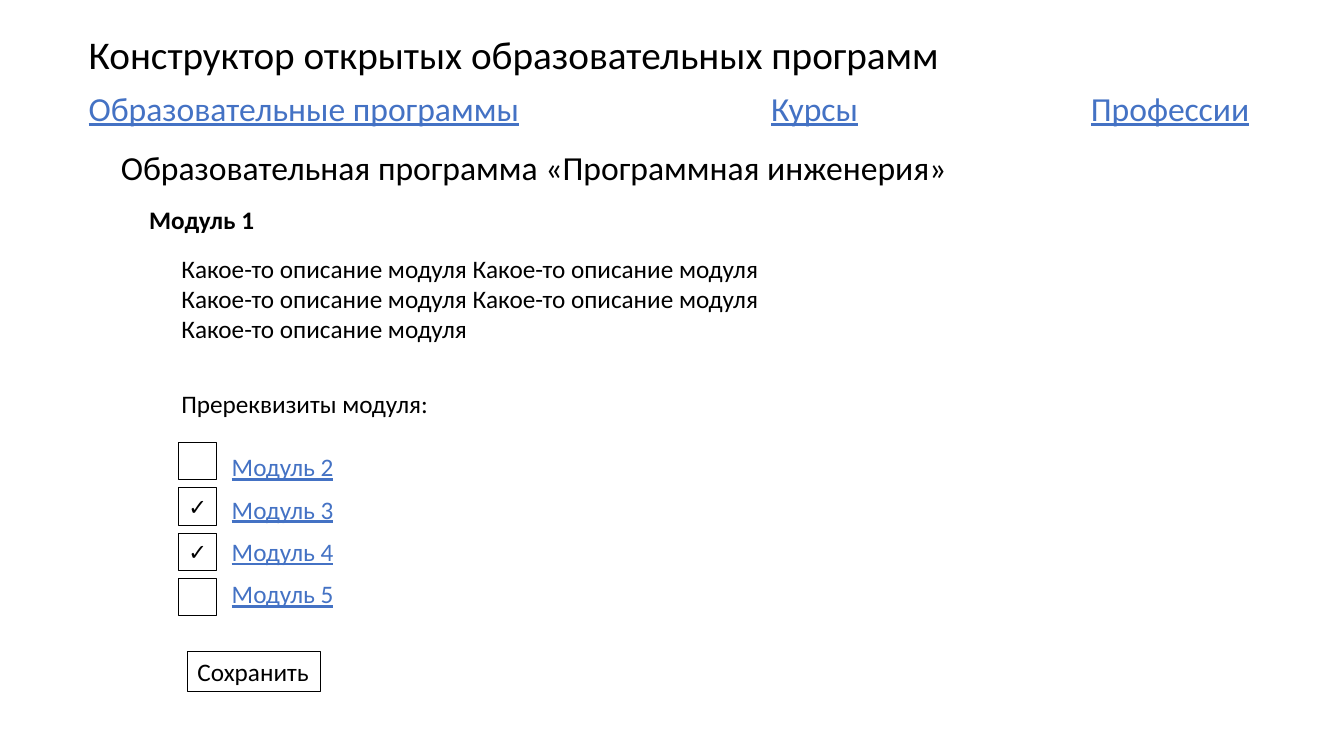
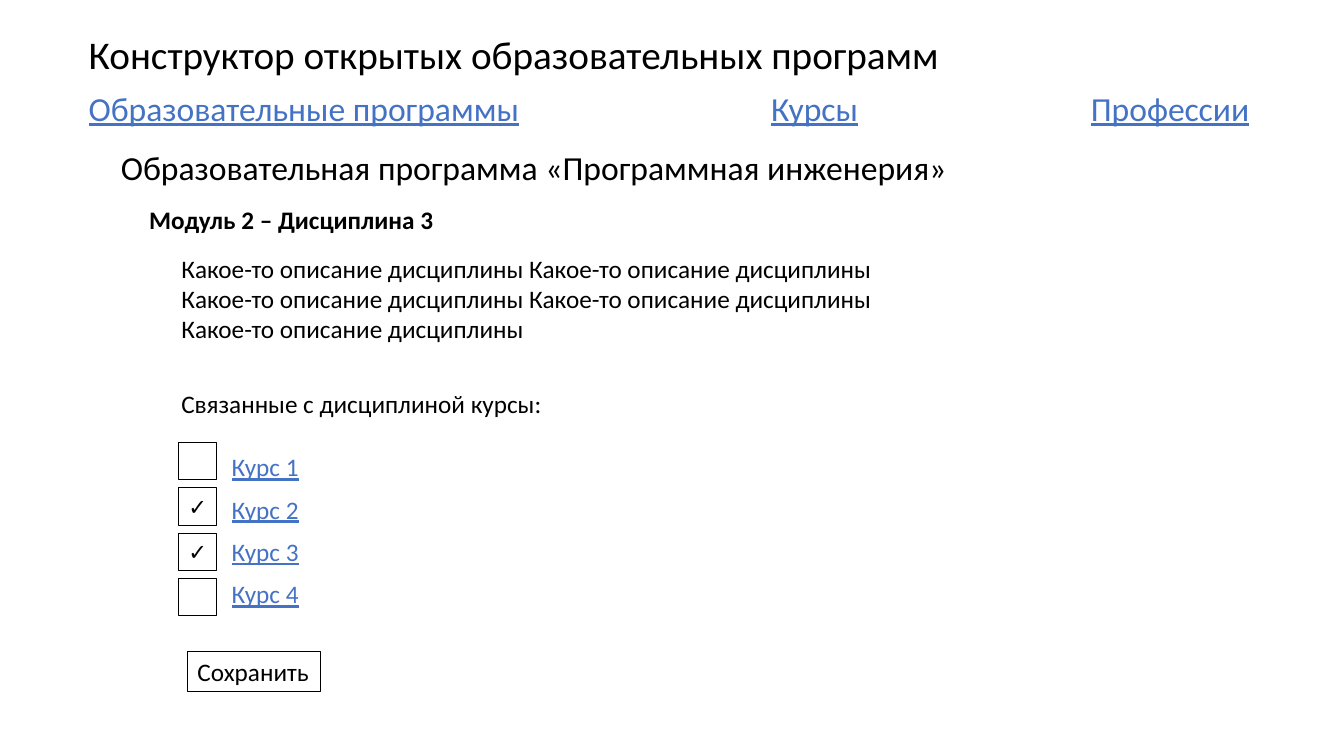
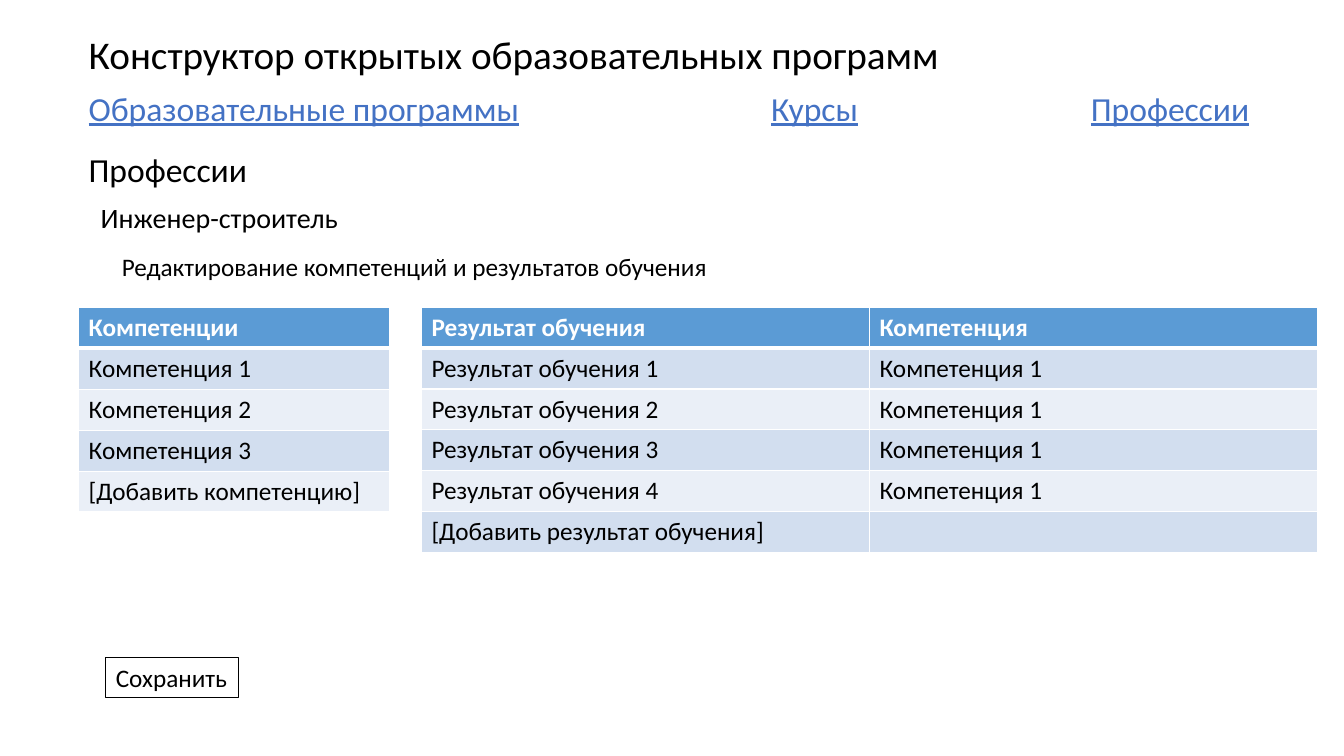
from dataclasses import dataclass
from typing import Optional

from lxml.etree import SubElement
from pptx import Presentation
from pptx.dml.color import RGBColor
from pptx.enum.shapes import MSO_SHAPE as Preset
from pptx.enum.text import MSO_ANCHOR as Anchor, MSO_AUTO_SIZE as AutoSize, PP_ALIGN as Align
from pptx.oxml.ns import qn
from pptx.shapes.autoshape import Shape
from pptx.slide import Slide
from pptx.table import _Cell as Cell
from pptx.text.text import TextFrame
from pptx.util import Inches, Pt


# Theme: colours, type sizes and line heights
@dataclass(frozen=True)
class TextStyle:
    size: int
    height: float
    color: str = "000000"
    bold: bool = False
    underline: bool = False


@dataclass(frozen=True)
class Theme:
    font: str = "Calibri"
    ink: str = "000000"
    white: str = "FFFFFF"
    link: str = "4472C4"
    header_fill: str = "5B9BD5"
    bands: tuple[str, str] = ("D2DEEF", "EAEFF7")
    outline: float = 0.75
    cell_line: float = 1
    header_line: float = 3

    title = TextStyle(28, 0.57)
    heading = TextStyle(24, 0.5)
    subheading = TextStyle(20, 0.44)
    body = TextStyle(18, 0.4)
    strong = TextStyle(18, 0.4, bold=True)
    nav_link = TextStyle(24, 0.5, link, underline=True)
    item_link = TextStyle(18, 0.4, link, underline=True)
    check = TextStyle(16, 0.37)
    table_header = TextStyle(18, 0.4, white, bold=True)


THEME = Theme()
TITLE_ONLY, TITLE_AND_BODY = 5, 1


# Repeated elements
@dataclass(frozen=True)
class Label:
    text: str
    left: float
    top: float
    width: float
    style: TextStyle


@dataclass(frozen=True)
class Choice:
    text: str
    checked: bool


@dataclass(frozen=True)
class FormPage:
    heading: str
    heading_width: float
    description: str
    description_width: float
    prompt: str
    prompt_width: float
    choices: list[Choice]
    choice_width: float


@dataclass(frozen=True)
class Grid:
    left: float
    width: float
    height: float
    rows: list[list[str]]


SITE_TITLE = Label("Конструктор открытых образовательных программ", 0.78, 0.25, 8.73, THEME.title)
NAVIGATION = [
    Label("Образовательные программы", 0.78, 0.82, 4.51, THEME.nav_link),
    Label("Курсы", 7.55, 0.82, 1.07, THEME.nav_link),
    Label("Профессии", 10.72, 0.82, 1.79, THEME.nav_link),
]


# Text
def write(frame: TextFrame, lines: list[str], style: TextStyle) -> None:
    frame.word_wrap = False
    frame.auto_size = AutoSize.SHAPE_TO_FIT_TEXT
    frame.vertical_anchor = Anchor.TOP
    for index, line in enumerate(lines):
        paragraph = frame.add_paragraph() if index else frame.paragraphs[0]
        paragraph.alignment = Align.LEFT
        paragraph.space_before = Pt(0)
        add_run(paragraph, line, style)


def add_run(paragraph, text: str, style: TextStyle) -> None:
    run = paragraph.add_run()
    run.text = text
    font = run.font
    font.name, font.size = THEME.font, Pt(style.size)
    font.bold, font.underline = style.bold, style.underline
    font.color.rgb = RGBColor.from_string(style.color)


def place(shape: Shape, left: float, top: float, width: float, height: float) -> None:
    shape.left, shape.top = Inches(left), Inches(top)
    shape.width, shape.height = Inches(width), Inches(height)


def add_label(slide: Slide, label: Label) -> None:
    box = slide.shapes.add_textbox(Inches(label.left), Inches(label.top),
                                   Inches(label.width), Inches(label.style.height))
    write(box.text_frame, [label.text], label.style)


def add_framed(slide: Slide, label: Label) -> None:
    box = slide.shapes.add_shape(Preset.RECTANGLE, Inches(label.left), Inches(label.top),
                                 Inches(label.width), Inches(label.style.height))
    box.shadow.inherit = False
    box.fill.background()
    box.line.color.rgb = RGBColor.from_string(THEME.ink)
    box.line.width = Pt(THEME.outline)
    if label.text:
        write(box.text_frame, [label.text], label.style)


def add_save_button(slide: Slide, left: float, top: float) -> None:
    add_framed(slide, Label("Сохранить", left, top, 1.32, THEME.body))


# Shared page head: site title and navigation
def add_page(deck, layout: int) -> Slide:
    slide = deck.slides.add_slide(deck.slide_layouts[layout])
    title = slide.shapes.title
    place(title, SITE_TITLE.left, SITE_TITLE.top, SITE_TITLE.width, SITE_TITLE.style.height)
    write(title.text_frame, [SITE_TITLE.text], SITE_TITLE.style)
    for link in NAVIGATION:
        add_label(slide, link)
    return slide


# Form page: description and a list of checkboxes
def add_description(slide: Slide, phrase: str, width: float) -> None:
    body = slide.placeholders[1]
    place(body, 1.7, 2.46, width, 1.01)
    full_line = f"{phrase} {phrase}"
    write(body.text_frame, [full_line, full_line, phrase], THEME.body)
    for paragraph in body.text_frame.paragraphs:
        properties = paragraph._p.get_or_add_pPr()
        properties.set("marL", "0")
        properties.set("indent", "0")
        SubElement(properties, qn("a:buNone"))


def add_choices(slide: Slide, choices: list[Choice], link_width: float) -> None:
    for row, choice in enumerate(choices):
        mark = "✓" if choice.checked else ""
        add_framed(slide, Label(mark, 1.77, 4.39 + 0.45 * row, 0.38, THEME.check))
        add_label(slide, Label(choice.text, 2.2, 4.43 + 0.42 * row, link_width, THEME.item_link))


def add_form_page(deck, page: FormPage) -> None:
    slide = add_page(deck, TITLE_AND_BODY)
    add_label(slide, Label("Образовательная программа «Программная инженерия»",
                           1.1, 1.41, 8.44, THEME.heading))
    add_label(slide, Label(page.heading, 1.38, 1.98, page.heading_width, THEME.strong))
    add_description(slide, page.description, page.description_width)
    add_label(slide, Label(page.prompt, 1.7, 3.8, page.prompt_width, THEME.body))
    add_choices(slide, page.choices, page.choice_width)
    add_save_button(slide, 1.86, 6.46)


# Tables
def set_border(cell: Cell, side: str, width: float) -> None:
    line = SubElement(cell._tc.get_or_add_tcPr(), qn(f"a:{side}"), w=str(Pt(width)))
    fill = SubElement(line, qn("a:solidFill"))
    SubElement(fill, qn("a:srgbClr"), val=THEME.white)


def format_cell(cell: Cell, text: Optional[str], row: int) -> None:
    above = THEME.header_line if row == 1 else THEME.cell_line
    below = THEME.header_line if row == 0 else THEME.cell_line
    for side, width in (("lnL", THEME.cell_line), ("lnR", THEME.cell_line),
                        ("lnT", above), ("lnB", below)):
        set_border(cell, side, width)
    cell.fill.solid()
    color = THEME.bands[(row - 1) % 2] if row else THEME.header_fill
    cell.fill.fore_color.rgb = RGBColor.from_string(color)
    if text:
        add_run(cell.text_frame.paragraphs[0], text, THEME.body if row else THEME.table_header)


def add_grid(slide: Slide, grid: Grid) -> None:
    table = slide.shapes.add_table(len(grid.rows), len(grid.rows[0]), Inches(grid.left),
                                   Inches(3.05), Inches(grid.width), Inches(grid.height)).table
    for row, texts in enumerate(grid.rows):
        for column, text in enumerate(texts):
            format_cell(table.cell(row, column), text, row)


# Professions page: competences and learning outcomes
def add_professions_page(deck) -> None:
    slide = add_page(deck, TITLE_ONLY)
    for label in (
        Label("Профессии", 0.78, 1.43, 1.79, THEME.heading),
        Label("Инженер-строитель", 0.9, 1.94, 2.58, THEME.subheading),
        Label("Редактирование компетенций и результатов обучения", 1.11, 2.44, 6.07, THEME.body),
    ):
        add_label(slide, label)
    competences = [[f"Компетенция {number}"] for number in range(1, 4)]
    outcomes = [[f"Результат обучения {number}", "Компетенция 1"] for number in range(1, 5)]
    add_grid(slide, Grid(0.78, 3.08, 2.03,
                         [["Компетенции"], *competences, ["[Добавить компетенцию]"]]))
    add_grid(slide, Grid(4.18, 8.89, 2.43,
                         [["Результат обучения", "Компетенция"], *outcomes,
                          ["[Добавить результат обучения]", ""]]))
    add_save_button(slide, 1.05, 6.52)


def numbered_choices(noun: str, first: int) -> list[Choice]:
    return [Choice(f"{noun} {first + row}", row in (1, 2)) for row in range(4)]


FORM_PAGES = [
    FormPage("Модуль 1", 1.25, "Какое-то описание модуля", 5.99,
             "Пререквизиты модуля:", 2.68, numbered_choices("Модуль", 2), 1.22),
    FormPage("Модуль 2 – Дисциплина 3", 3.05, "Какое-то описание дисциплины", 7.13,
             "Связанные с дисциплиной курсы:", 3.81, numbered_choices("Курс", 1), 0.87),
]


def main() -> None:
    deck = Presentation()
    deck.slide_width, deck.slide_height = Inches(13.33), Inches(7.5)
    for page in FORM_PAGES:
        add_form_page(deck, page)
    add_professions_page(deck)
    deck.save("out.pptx")


main()
